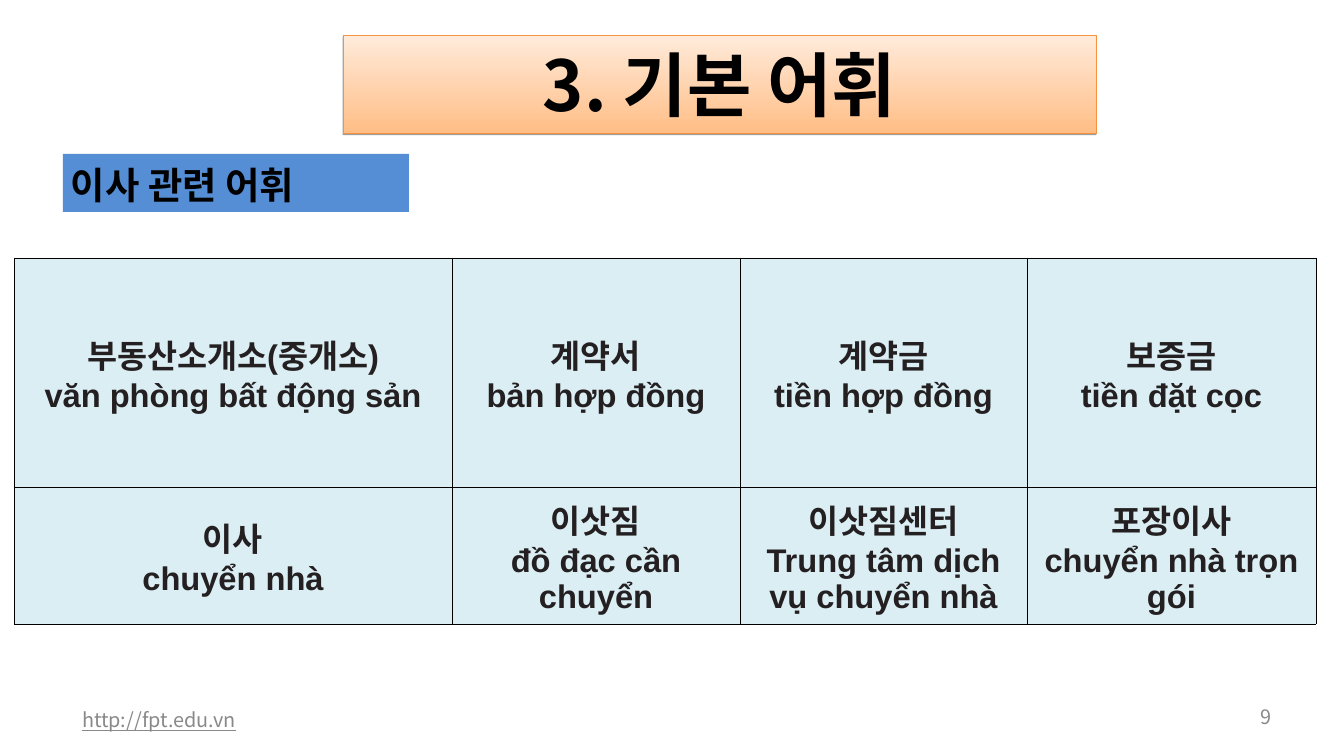
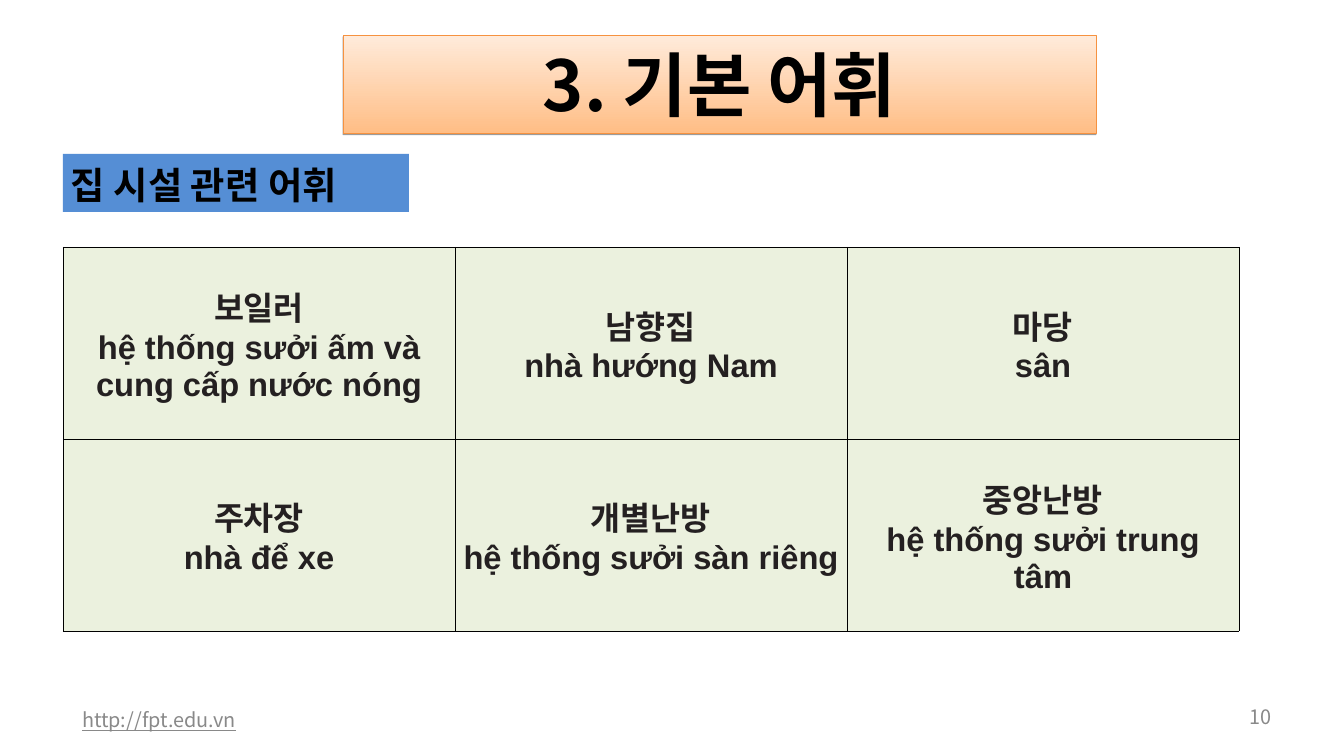
from lxml import etree
from pptx import Presentation
from pptx import util as u
from pptx.dml.color import RGBColor
from pptx.enum import shapes, text
from pptx.oxml import ns

# Shared look
BLACK = RGBColor(0x00, 0x00, 0x00)
INK = RGBColor(0x24, 0x20, 0x21)
GREY = RGBColor(0x89, 0x89, 0x89)
ORANGE = RGBColor(0xFF, 0xBE, 0x86)
PEACH = RGBColor(0xFF, 0xEB, 0xDB)
ORANGE_EDGE = RGBColor(0xF6, 0x92, 0x40)
BLUE = RGBColor(0x55, 0x8E, 0xD5)
PALE_BLUE = RGBColor(0xDB, 0xEE, 0xF4)
PALE_GREEN = RGBColor(0xEB, 0xF1, 0xDE)
KOREAN, LATIN = "Noto Sans CJK KR", "Arial"
LEFT, CENTER, RIGHT = text.PP_ALIGN.LEFT, text.PP_ALIGN.CENTER, text.PP_ALIGN.RIGHT
TOP, MIDDLE = text.MSO_ANCHOR.TOP, text.MSO_ANCHOR.MIDDLE

# Boxes in px: left, top, width, height
SLIDE_SIZE = (1344, 756)
TITLE_BOX = (343, 35, 753, 98)
TOPIC_BOX = (63, 154, 346, 58)
LINK_BOX = (70, 700, 426, 40)
NUMBER_BOX = (1218, 700, 66, 34)


def px(length):
    return u.Emu(round(length * 914400 / 84))


def add_xml(parent, tag, **attributes):
    return etree.SubElement(parent, ns.qn(tag), attributes)


def write(frame, words, size, color, font=KOREAN, bold=False, align=LEFT,
          underline=None):
    paragraph = frame.paragraphs[0]
    paragraph.text = words
    paragraph.alignment = align
    style = paragraph.font
    style.size, style.bold, style.name = u.Pt(size), bold, font
    style.underline = underline
    style.color.rgb = color
    # Korean letters keep their own typeface beside the Latin one
    defaults = paragraph._p.get_or_add_pPr().get_or_add_defRPr()
    add_xml(defaults, "a:ea", typeface=KOREAN)


def set_frame(frame, side, edge, anchor):
    frame.word_wrap = True
    frame.auto_size = text.MSO_AUTO_SIZE.NONE
    frame.vertical_anchor = anchor
    frame.margin_left = frame.margin_right = px(side)
    frame.margin_top = frame.margin_bottom = px(edge)


def place_title(slide, box, words):
    title = slide.shapes.title
    title.left, title.top, title.width, title.height = map(px, box)
    title.fill.gradient()
    title.fill.gradient_angle = 90
    for stop, color in zip(title.fill.gradient_stops, (ORANGE, PEACH)):
        stop.color.rgb = color
    title.line.color.rgb = ORANGE_EDGE
    title.line.width = u.Pt(0.75)
    # Soft edge below the banner
    effects = add_xml(title._element.spPr, "a:effectLst")
    shadow = add_xml(effects, "a:outerShdw", blurRad="0", dist=str(u.Pt(1.6)),
                     dir="5400000", rotWithShape="0")
    add_xml(add_xml(shadow, "a:srgbClr", val=str(BLACK)), "a:alpha", val="38000")
    set_frame(title.text_frame, 8, 4, MIDDLE)
    write(title.text_frame, words, 60, BLACK, bold=True, align=CENTER)


def place_topic(slide, box, words):
    band = slide.shapes.add_shape(shapes.MSO_SHAPE.RECTANGLE, *map(px, box))
    band.shadow.inherit = False
    band.fill.solid()
    band.fill.fore_color.rgb = BLUE
    band.line.fill.background()
    set_frame(band.text_frame, 8, 8, TOP)
    write(band.text_frame, words, 32, BLACK, bold=True)


def place_footer(slide, number):
    for box, words, align, underline in (
            (LINK_BOX, "http://fpt.edu.vn", LEFT, True),
            (NUMBER_BOX, str(number), RIGHT, None)):
        frame = slide.shapes.add_textbox(*map(px, box)).text_frame
        set_frame(frame, 12, 6, MIDDLE)
        write(frame, words, 17, GREY, align=align, underline=underline)


def format_cell(cell, words, fill):
    properties = cell._tc.get_or_add_tcPr()
    for side in ("a:lnL", "a:lnR", "a:lnT", "a:lnB"):
        border = add_xml(properties, side, w=str(u.Pt(0.23)))
        add_xml(add_xml(border, "a:solidFill"), "a:srgbClr", val=str(BLACK))
    cell.fill.solid()
    cell.fill.fore_color.rgb = fill
    cell.vertical_anchor = MIDDLE
    write(cell.text_frame, words, 28, INK, LATIN, True, CENTER)


def place_vocabulary(slide, corner, widths, heights, entries, fill):
    size = (sum(widths), sum(heights))
    table = slide.shapes.add_table(len(heights), len(widths),
                                   *map(px, corner + size)).table
    table.first_row = table.horz_banding = False
    for column, width in zip(table.columns, widths):
        column.width = px(width)
    for row, height in zip(table.rows, heights):
        row.height = px(height)
    for cell, (korean, vietnamese) in zip(table.iter_cells(), entries):
        format_cell(cell, f"{korean}\v{vietnamese}", fill)


def add_vocabulary_slide(deck, number, topic, **vocabulary):
    slide = deck.slides.add_slide(deck.slide_layouts[5])
    place_footer(slide, number)
    place_title(slide, TITLE_BOX, "3. 기본 어휘")
    place_topic(slide, TOPIC_BOX, topic)
    place_vocabulary(slide, **vocabulary)


def main():
    deck = Presentation()
    deck.slide_width, deck.slide_height = map(px, SLIDE_SIZE)

    # Moving house
    add_vocabulary_slide(
        deck, 9, "이사 관련 어휘",
        corner=(14, 258), widths=(438, 288, 287, 289), heights=(229, 137),
        fill=PALE_BLUE,
        entries=(
            ("부동산소개소(중개소)", "văn phòng bất động sản"),
            ("계약서", "bản hợp đồng"),
            ("계약금", "tiền hợp đồng"),
            ("보증금", "tiền đặt cọc"),
            ("이사", "chuyển nhà"),
            ("이삿짐", "đồ đạc cần chuyển"),
            ("이삿짐센터", "Trung tâm dịch vụ chuyển nhà"),
            ("포장이사", "chuyển nhà trọn gói"),
        ))

    # Home facilities
    add_vocabulary_slide(
        deck, 10, "집 시설 관련 어휘",
        corner=(63, 247), widths=(392,) * 3, heights=(192,) * 2,
        fill=PALE_GREEN,
        entries=(
            ("보일러", "hệ thống sưởi ấm và cung cấp nước nóng"),
            ("남향집", "nhà hướng Nam"),
            ("마당", "sân"),
            ("주차장", "nhà để xe"),
            ("개별난방", "hệ thống sưởi sàn riêng"),
            ("중앙난방", "hệ thống sưởi trung tâm"),
        ))

    deck.save("out.pptx")


if __name__ == "__main__":
    main()
